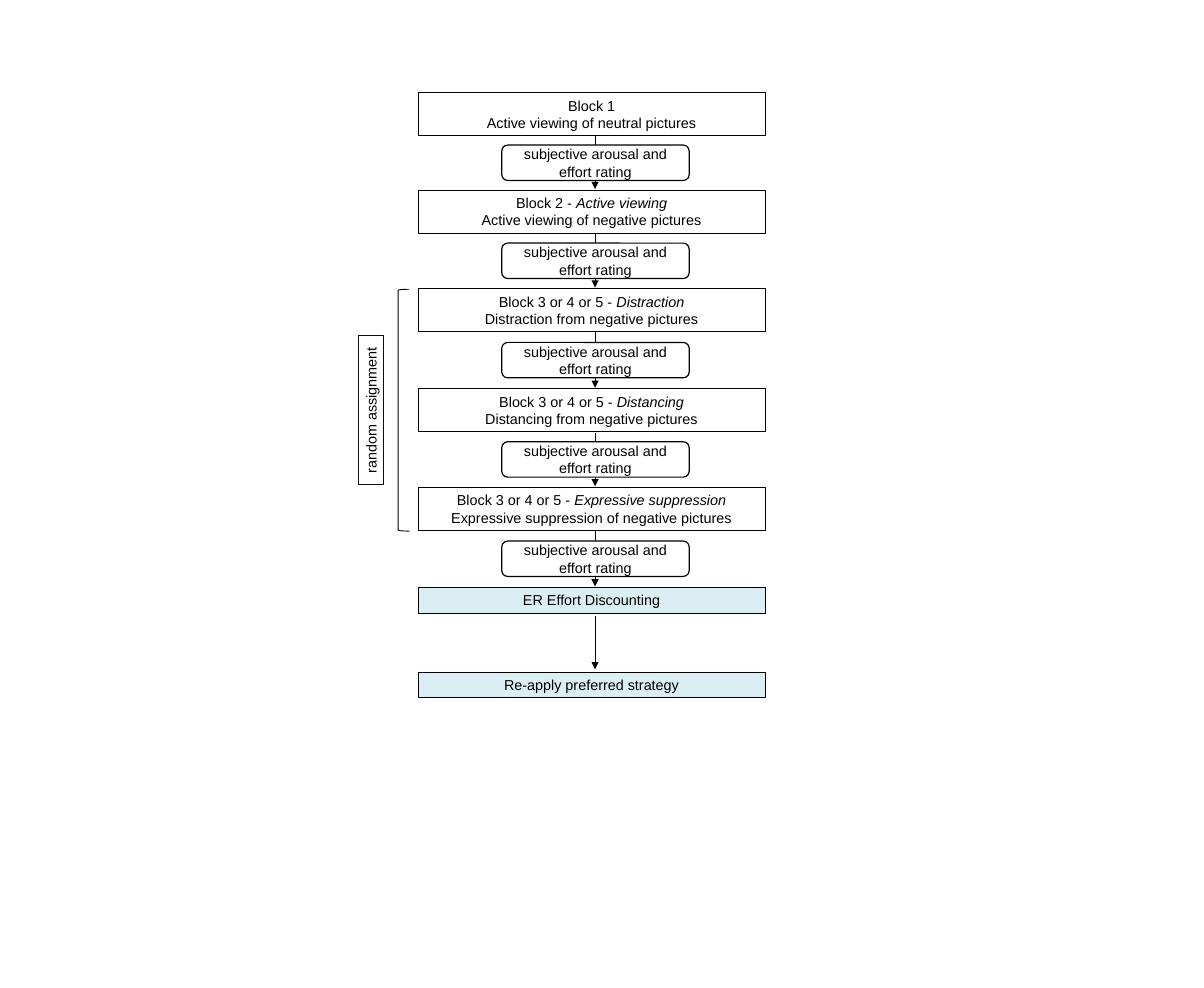
"""Builds a flowchart slide of the experimental blocks and ratings."""
from pptx import Presentation
from pptx.dml.color import RGBColor
from pptx.enum.shapes import MSO_CONNECTOR, MSO_SHAPE
from pptx.enum.text import MSO_ANCHOR, PP_ALIGN
from pptx.oxml.ns import qn
from pptx.util import Inches, Pt
from lxml.etree import SubElement

COLORS = {"line": "000000", "text": "000000", "label_line": "0D0D0D",
          "white": "FFFFFF", "task": "DBEEF4"}

# top, height, fill, lines of (text, italic) runs
STEPS = [
    (1.07, 0.5, "white", [[("Block 1", False)],
                          [("Active viewing of neutral pictures", False)]]),
    (2.2, 0.5, "white", [[("Block 2 - ", False), ("Active viewing", True)],
                         [("Active viewing of negative pictures", False)]]),
    (3.34, 0.5, "white", [[("Block 3 or 4 or 5 - ", False), ("Distraction", True)],
                          [("Distraction from negative pictures", False)]]),
    (4.5, 0.5, "white", [[("Block 3 or 4 or 5 - ", False), ("Distancing", True)],
                         [("Distancing from negative pictures", False)]]),
    (5.64, 0.5, "white", [[("Block 3 or 4 or 5 - ", False), ("Expressive suppression", True)],
                          [("Expressive suppression of negative pictures", False)]]),
    (6.8, 0.3, "task", [[("ER Effort Discounting", False)]]),
    (7.78, 0.3, "task", [[("Re-apply preferred strategy", False)]]),
]
RATING = [[("subjective arousal and effort rating", False)]]
ASSIGNMENT = [[("random assignment", False)]]

STEP_X, STEP_W = 4.84, 4.02
RATING_X, RATING_W, RATING_H = 5.81, 2.17, 0.41
ARROW_X = 6.89


def rgb(name):
    return RGBColor.from_string(COLORS[name])


def add_box(slide, kind, x, y, w, h, lines=(), fill=None, line="line", width=0.5):
    sp = slide.shapes.add_shape(kind, Inches(x), Inches(y), Inches(w), Inches(h))
    sp.shadow.inherit = False
    if fill:
        sp.fill.solid()
        sp.fill.fore_color.rgb = rgb(fill)
    else:
        sp.fill.background()
    sp.line.color.rgb = rgb(line)
    sp.line.width = Pt(width)
    tf = sp.text_frame
    tf.word_wrap = True
    tf.vertical_anchor = MSO_ANCHOR.MIDDLE
    for i, runs in enumerate(lines):
        p = tf.add_paragraph() if i else tf.paragraphs[0]
        p.alignment = PP_ALIGN.CENTER
        p.font.name = "Arial"
        p.font.size = Pt(12)
        p.font.color.rgb = rgb("text")
        for text, italic in runs:
            r = p.add_run()
            r.text = text
            r.font.italic = italic
    return sp


def add_arrow(slide, x, top, bottom):
    cxn = slide.shapes.add_connector(
        MSO_CONNECTOR.STRAIGHT, Inches(x), Inches(top), Inches(x), Inches(bottom))
    cxn.line.color.rgb = rgb("line")
    cxn.line.width = Pt(0.5)
    SubElement(cxn.line._get_or_add_ln(), qn("a:tailEnd"), type="triangle")
    SubElement(cxn._element.spPr, qn("a:effectLst"))


def main():
    prs = Presentation()
    prs.slide_width, prs.slide_height = Inches(13.94), Inches(11.44)
    slide = prs.slides.add_slide(prs.slide_layouts[6])

    for top, height, fill, lines in STEPS:
        add_box(slide, MSO_SHAPE.RECTANGLE, STEP_X, top, STEP_W, height, lines, fill)

    for step, following in zip(STEPS, STEPS[1:]):
        bottom, next_top = step[0] + step[1], following[0]
        rated = step[2] == "white"
        gap = 0.01 if rated else 0.03
        add_arrow(slide, ARROW_X, bottom + gap, next_top - gap)
        if rated:
            y = (bottom + next_top - RATING_H) / 2
            add_box(slide, MSO_SHAPE.ROUNDED_RECTANGLE, RATING_X, y, RATING_W, RATING_H,
                    RATING, "white", width=1)

    add_box(slide, MSO_SHAPE.LEFT_BRACKET, 4.61, 3.35, 0.13, 2.8, width=0.75)
    label = add_box(slide, MSO_SHAPE.RECTANGLE, 3.43, 4.6, 1.73, 0.3,
                    ASSIGNMENT, "white", "label_line", 0.75)
    label.rotation = 270
    prs.save("out.pptx")


if __name__ == "__main__":
    main()
